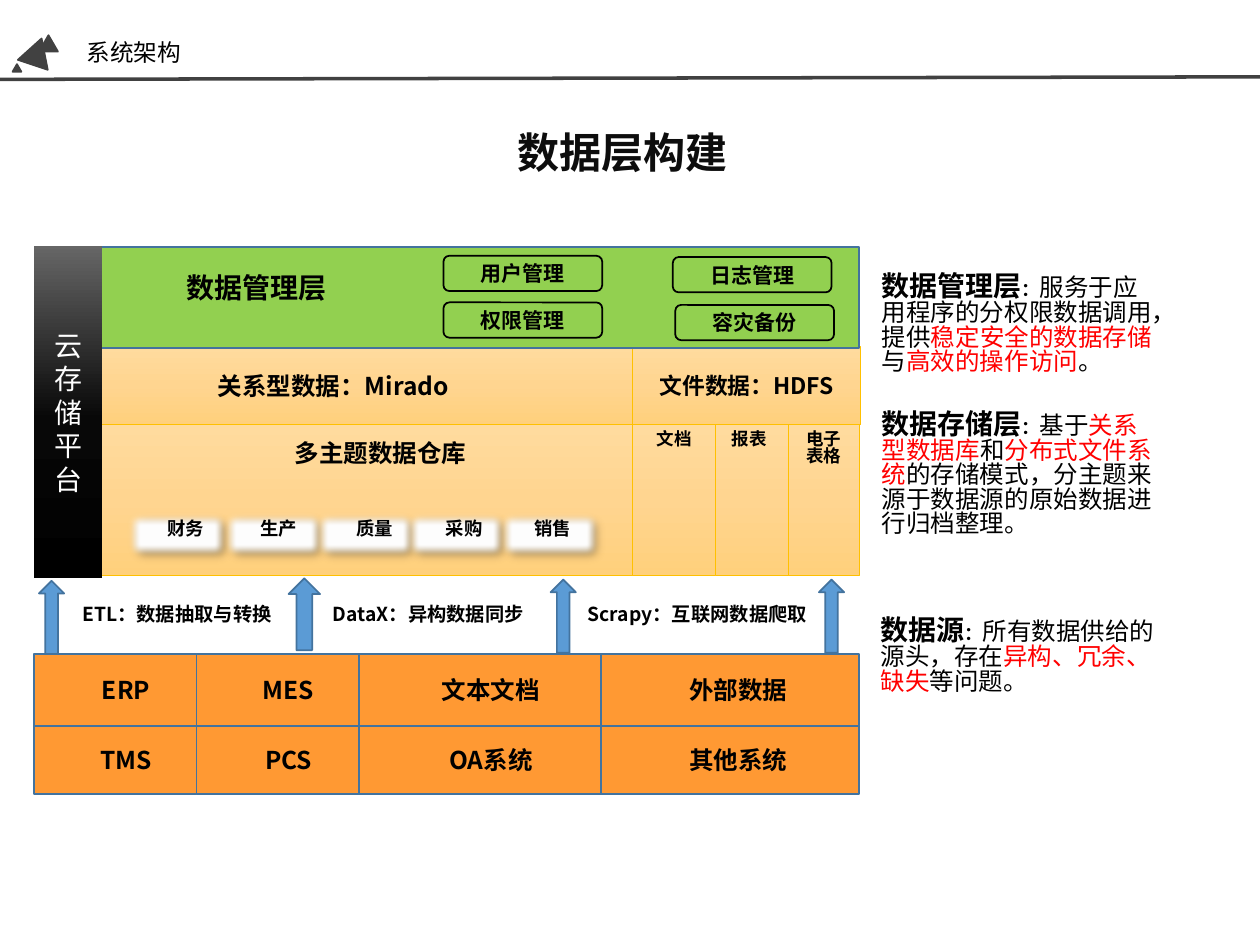
from dataclasses import dataclass

from lxml import etree
from pptx import Presentation
from pptx.dml.color import RGBColor
from pptx.enum.shapes import MSO_CONNECTOR, MSO_SHAPE
from pptx.enum.text import MSO_ANCHOR, PP_ALIGN
from pptx.oxml.ns import qn
from pptx.util import Inches, Pt

RECTANGLE, ROUNDED = MSO_SHAPE.RECTANGLE, MSO_SHAPE.ROUNDED_RECTANGLE
TRIANGLE, UP_ARROW = MSO_SHAPE.ISOSCELES_TRIANGLE, MSO_SHAPE.UP_ARROW
LEFT, CENTER = PP_ALIGN.LEFT, PP_ALIGN.CENTER
TOP, MIDDLE = MSO_ANCHOR.TOP, MSO_ANCHOR.MIDDLE


@dataclass(frozen=True)
class Theme:
    font: str = "Noto Sans CJK SC"
    platform_font: str = "Calibri"
    black: str = "000000"
    white: str = "FFFFFF"
    heading: str = "0D0D0D"
    red: str = "FF0000"
    mark: str = "414141"
    green: str = "92D050"
    orange: str = "FF9933"
    blue: str = "5B9BD5"
    blue_line: str = "43739E"
    gold_line: str = "FFC000"
    storage: tuple = ((0, "FFDB9E"), (50, "FFD590"), (100, "FFD07C"))
    platform: tuple = ((0, "000000"), (48, "080808"), (100, "666666"))
    heading_size: float = 24
    layer_size: float = 16
    body_size: float = 14
    files_size: float = 13
    title_size: float = 13.5
    button_size: float = 12
    flow_size: float = 11
    topic_size: float = 10.5
    small_size: float = 10
    tight: float = 0.85


THEME = Theme()


def color(value):
    return RGBColor.from_string(value)


def add_run(paragraph, text, size, fill=THEME.black, bold=False, font=THEME.font):
    run = paragraph.add_run()
    run.text = text
    run.font.size, run.font.bold, run.font.name = Pt(size), bold, font
    run.font.color.rgb = color(fill)
    etree.SubElement(run._r.get_or_add_rPr(), qn("a:ea"), typeface=font)


def write(shape, runs, size=THEME.body_size, fill=THEME.black, bold=True,
          font=THEME.font, align=CENTER, anchor=MIDDLE, spacing=None,
          insets=(0.1, 0.05, 0.1, 0.05)):
    """Fill a shape with one paragraph: a string, or (text, format) pairs."""
    frame = shape.text_frame
    frame.word_wrap, frame.vertical_anchor = True, anchor
    (frame.margin_left, frame.margin_top,
     frame.margin_right, frame.margin_bottom) = map(Inches, insets)
    paragraph = frame.paragraphs[0]
    paragraph.alignment = align
    if spacing:
        paragraph.line_spacing = spacing
    base = dict(size=size, fill=fill, bold=bold, font=font)
    for text, changes in [(runs, {})] if isinstance(runs, str) else runs:
        add_run(paragraph, text, **{**base, **changes})


def add_label(slide, box, runs, **options):
    label = slide.shapes.add_textbox(*map(Inches, box))
    write(label, runs, **{"anchor": TOP, "spacing": THEME.tight, **options})


def set_gradient(shape, stops, angle):
    shape.fill.gradient()
    shape.fill.gradient_angle = angle
    stop_list = shape._element.spPr.find(qn("a:gradFill")).find(qn("a:gsLst"))
    for stop in list(stop_list):
        stop_list.remove(stop)
    for position, value in stops:
        stop = etree.SubElement(stop_list, qn("a:gs"), pos=str(position * 1000))
        etree.SubElement(stop, qn("a:srgbClr"), val=value)


def add_block(slide, box, fill, line=None, width=1, kind=RECTANGLE, angle=270):
    """Add a preset shape; fill is a colour or a tuple of gradient stops."""
    shape = slide.shapes.add_shape(kind, *map(Inches, box))
    shape.shadow.inherit = False
    if isinstance(fill, tuple):
        set_gradient(shape, fill, angle)
    else:
        shape.fill.solid()
        shape.fill.fore_color.rgb = color(fill)
    if line:
        shape.line.color.rgb = color(line)
        shape.line.width = Pt(width)
    else:
        shape.line.fill.background()
    return shape


def soften(shape):
    """Give a card a drop shadow and blurred edges."""
    effects = shape._element.spPr.find(qn("a:effectLst"))
    shadow = etree.SubElement(effects, qn("a:outerShdw"), blurRad=str(Pt(4)),
                              dist=str(Pt(3)), dir="2700000", algn="tl", rotWithShape="0")
    shade = etree.SubElement(shadow, qn("a:srgbClr"), val=THEME.black)
    etree.SubElement(shade, qn("a:alpha"), val="40000")
    etree.SubElement(effects, qn("a:softEdge"), rad=str(Pt(5)))


def add_header(slide):
    for box, rotation in (((0.31, 0.28, 0.15, 0.13), 0), ((0.17, 0.3, 0.25, 0.22), 18.5),
                          ((0.1, 0.51, 0.07, 0.06), 0)):
        add_block(slide, box, THEME.mark, THEME.mark, kind=TRIANGLE).rotation = rotation
    rule = slide.shapes.add_connector(
        MSO_CONNECTOR.STRAIGHT, Inches(0), Inches(0.63), Inches(10), Inches(0.61))
    rule.line.color.rgb, rule.line.width = color(THEME.mark), Pt(2)
    etree.SubElement(rule._element.spPr, qn("a:effectLst"))
    title = slide.shapes.title
    title.left, title.top, title.width, title.height = map(Inches, (0.59, 0.21, 8.72, 0.43))
    write(title, "系统架构", size=THEME.title_size, bold=False, align=LEFT, spacing=0.9)
    add_label(slide, (4.01, 1.02, 1.98, 0.5), "数据层构建", size=THEME.heading_size,
              fill=THEME.heading, align=LEFT)


def add_notes_column(slide):
    red = {"fill": THEME.red}
    notes = (
        ((6.9, 2.13, 2.41, 1.08), "数据管理层",
         [("服务于应用程序的分权限数据调用，提供", {}), ("稳定安全的数据存储", red),
          ("与", {}), ("高效的操作访问", red), ("。", {})]),
        ((6.9, 3.22, 2.41, 1.31), "数据存储层",
         [("基于", {}), ("关系型数据库", red), ("和", {}), ("分布式文件系统", red),
          ("的存储模式，分主题来源于数据源的原始数据进行归档整理。", {})]),
        ((6.89, 4.86, 2.42, 0.84), "数据源",
         [("所有数据供给的源头，存在", {}), ("异构、冗余、缺失", red), ("等问题。", {})]),
    )
    for box, name, body in notes:
        lead = [(name, {"size": THEME.layer_size, "bold": True}),
                ("：", {"size": THEME.topic_size, "bold": True})]
        add_label(slide, box, lead + body, bold=False, align=LEFT, spacing=0.83)


def add_storage_layer(slide):
    for box, text, options in (
            ((0.27, 2.75, 4.75, 0.62), "关系型数据：Mirado", {}),
            ((5.02, 2.75, 1.81, 0.62), "文件数据：HDFS", {"size": THEME.files_size}),
            ((5.61, 3.37, 0.67, 1.2), "报表", None),
            ((6.26, 3.37, 0.56, 1.2), "电子表格", None),
            ((5.02, 3.37, 0.66, 1.2), "文档", None)):
        block = add_block(slide, box, THEME.storage, THEME.gold_line, 0.5)
        if options is None:
            options = {"size": THEME.small_size, "anchor": TOP, "spacing": THEME.tight}
        write(block, text, **options)
    # Warehouse with its subject cards
    add_block(slide, (0.27, 3.37, 4.75, 1.2), THEME.storage, THEME.gold_line, 0.5)
    add_label(slide, (2.24, 3.46, 1.93, 0.38), "多主题数据仓库", align=LEFT)
    for card_left, text_left, topic in (
            (0.99, 1.23, "财务"), (1.75, 1.97, "生产"), (2.48, 2.73, "质量"),
            (3.2, 3.44, "采购"), (3.94, 4.14, "销售")):
        soften(add_block(slide, (card_left, 4.04, 0.84, 0.41), THEME.white, THEME.blue_line))
        add_label(slide, (text_left, 4.08, 0.58, 0.32), topic,
                  size=THEME.topic_size, align=LEFT)


def add_management_layer(slide):
    add_block(slide, (0.31, 1.96, 6.51, 0.8), THEME.green, THEME.blue_line)
    for left, top, text in ((3.52, 2.03, "用户管理"), (3.52, 2.4, "权限管理"),
                            (5.36, 2.42, "容灾备份"), (5.34, 2.04, "日志管理")):
        button = add_block(slide, (left, top, 1.26, 0.28), THEME.green, THEME.black, kind=ROUNDED)
        write(button, text, size=THEME.button_size)
    name = add_block(slide, (1, 2.14, 2.07, 0.42), THEME.green)
    write(name, "数据管理层", size=THEME.layer_size, anchor=TOP, spacing=THEME.tight)


def add_flows(slide):
    for box in ((2.29, 4.59, 0.25, 0.57), (6.5, 4.6, 0.2, 0.58),
                (0.31, 4.61, 0.2, 0.58), (4.37, 4.6, 0.2, 0.58)):
        add_block(slide, box, THEME.blue, THEME.blue_line, kind=UP_ARROW)
    for left, width, text in ((-0.05, 2.91, "ETL：数据抽取与转换"),
                              (1.76, 3.28, "DataX：异构数据同步"),
                              (4.39, 2.29, "Scrapy：互联网数据爬取")):
        add_label(slide, (left, 4.78, width, 0.28), text, size=THEME.flow_size,
                  insets=(0.06, 0.03, 0.06, 0.03))


def add_sources(slide):
    columns = ((0.27, 1.29, 0.27), (1.56, 1.29, 0.27), (2.85, 1.92, 0.27), (4.77, 2.05, 0.23))
    rows = ((5.19, 0.57, ("ERP", "MES", "文本文档", "外部数据")),
            (5.76, 0.54, ("TMS", "PCS", "OA系统", "其他系统")))
    for top, height, names in rows:
        for (left, width, indent), name in zip(columns, names):
            cell = add_block(slide, (left, top, width, height), THEME.orange, THEME.blue_line)
            write(cell, name, insets=(indent, 0.05, 0.1, 0.05))


def main():
    presentation = Presentation()
    presentation.slide_width, presentation.slide_height = Inches(10), Inches(7.5)
    slide = presentation.slides.add_slide(presentation.slide_layouts[5])
    add_header(slide)
    add_notes_column(slide)
    add_storage_layer(slide)
    add_management_layer(slide)
    add_flows(slide)
    # Cloud platform bar beside the layers
    bar = add_block(slide, (0.27, 1.95, 0.54, 2.64), THEME.platform, angle=90)
    write(bar, "云存储平台", size=THEME.layer_size, fill=THEME.white, bold=False,
          font=THEME.platform_font)
    add_sources(slide)
    presentation.save("out.pptx")


if __name__ == "__main__":
    main()
